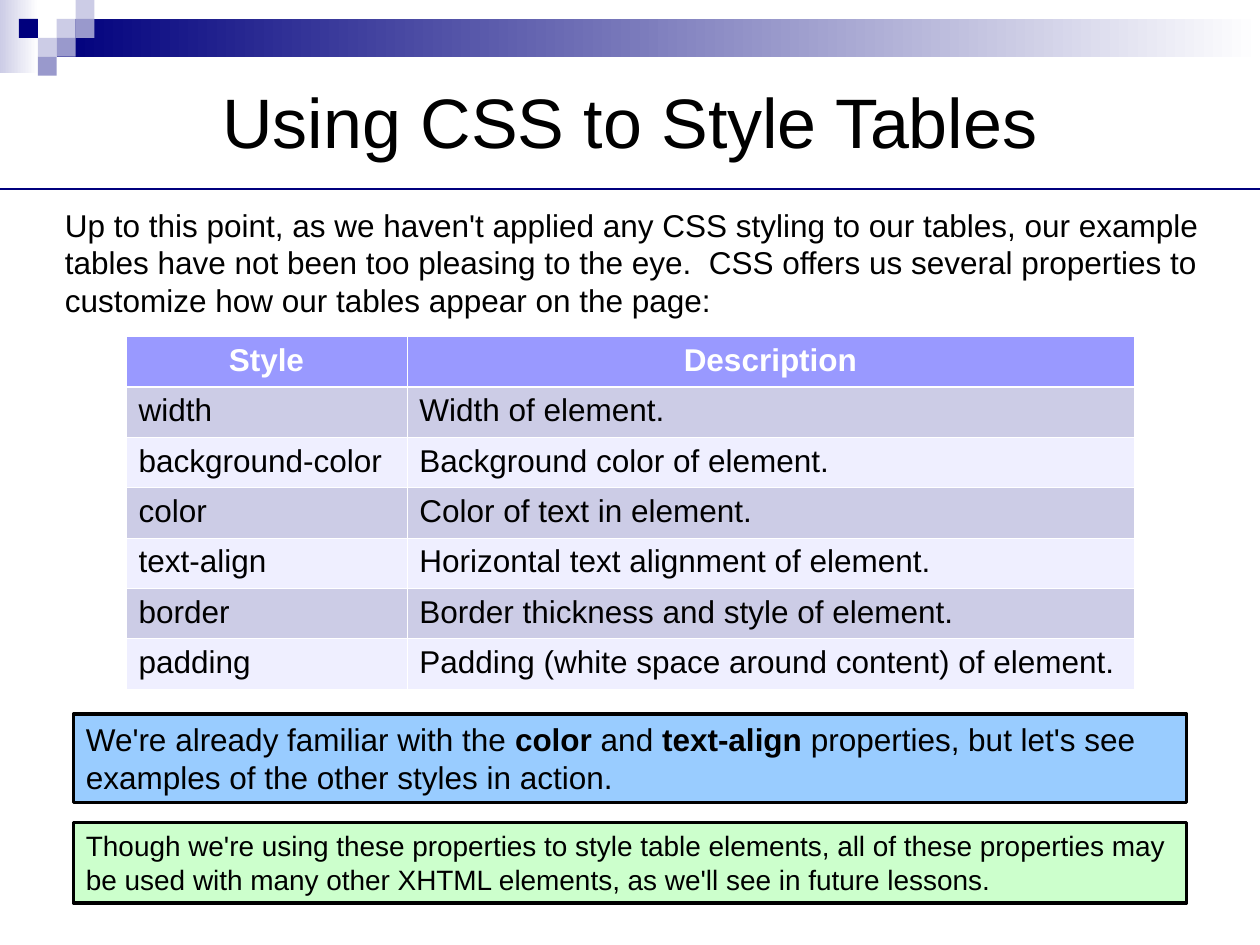
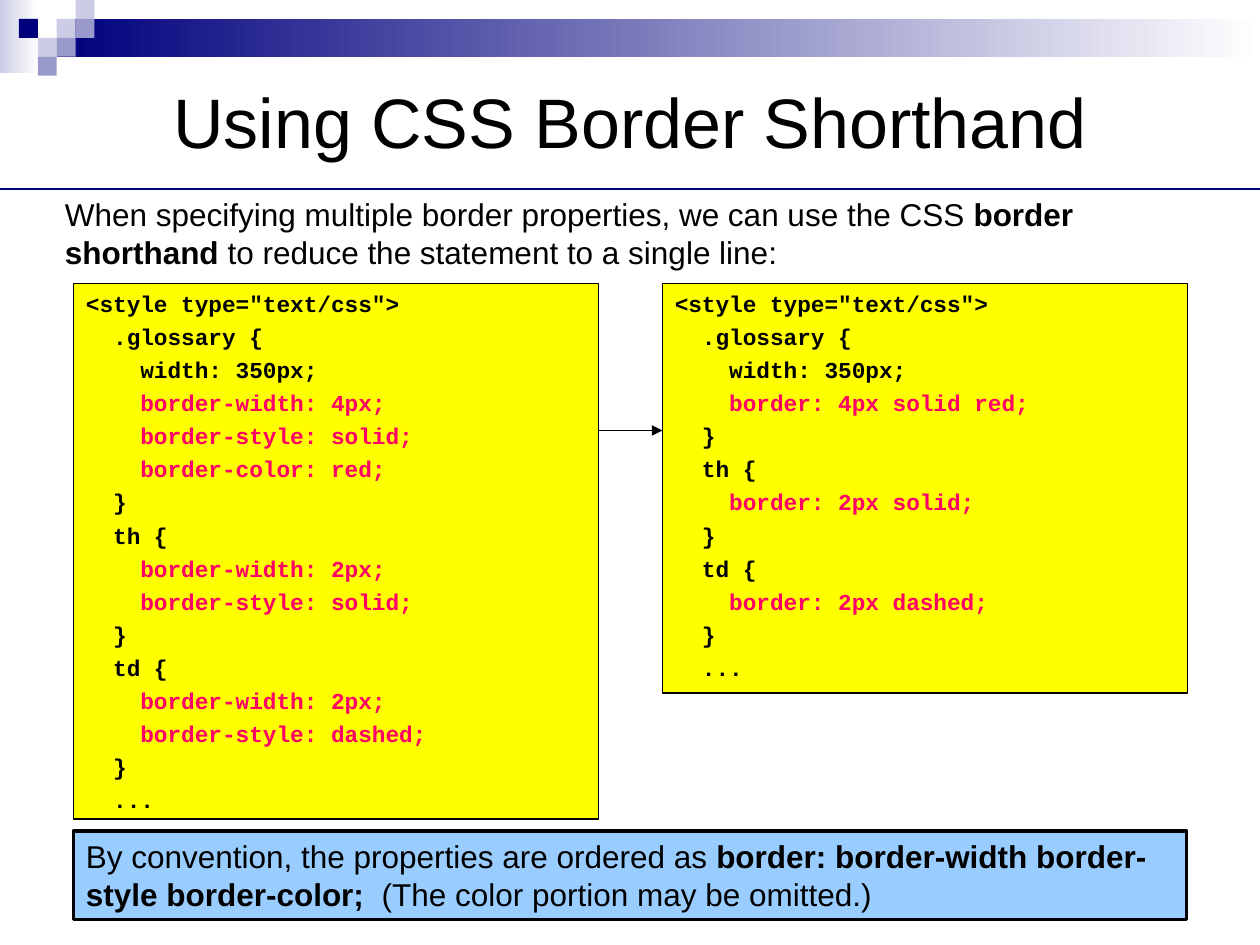
from lxml import etree
from pptx import Presentation
from pptx.dml.color import RGBColor
from pptx.enum import shapes, text
from pptx.oxml import ns
from pptx.util import Pt

rgb = RGBColor.from_string
NAVY, LAVENDER, VIOLET = "00007D", "CCCCE6", "9999CC"
BLACK, WHITE, PINK = "000000", "FFFFFF", "FF0066"
SKY, MINT, YELLOW = "99CCFF", "CCFFCC", "FFFF00"
HEADER, PALE = "9999FF", "EFEFFF"
BODY_FONT, CODE_FONT = "Arial", "Courier New"
SLIDE_W, SLIDE_H = 720, 540
LEFT, BOX_W, CODE_W = 42, 636, 300
CODE_TOP, CODE_RIGHT = 162, 378.5

prs = Presentation()
prs.slide_width, prs.slide_height = Pt(SLIDE_W), Pt(SLIDE_H)


def add_box(s, box, fill=None, line=0, content="", size=18, font=BODY_FONT, color=BLACK,
            align=text.PP_ALIGN.LEFT, anchor=text.MSO_ANCHOR.TOP, gap=0):
    """Draw a rectangle; a pair of fills is a gradient, **text** is bold."""
    sp = s.shapes.add_shape(shapes.MSO_SHAPE.RECTANGLE, *map(Pt, box))
    sp.shadow.inherit = False
    if fill is None:
        sp.fill.background()
    elif isinstance(fill, tuple):
        sp.fill.gradient()
        sp.fill.gradient_angle = 0
        for stop, stop_color in zip(sp.fill.gradient_stops, fill):
            stop.color.rgb = rgb(stop_color)
    else:
        sp.fill.solid()
        sp.fill.fore_color.rgb = rgb(fill)
    if line:
        sp.line.color.rgb = rgb(BLACK)
        sp.line.width = Pt(line)
    else:
        sp.line.fill.background()
    if not content:
        return
    tf = sp.text_frame
    tf.word_wrap = True
    tf.vertical_anchor = anchor
    for i, row in enumerate(content.split("\n")):
        p = tf.add_paragraph() if i else tf.paragraphs[0]
        p.alignment = align
        if i:
            p.space_before = Pt(gap)
        for j, part in enumerate(row.split("**")):
            if part:
                r = p.add_run()
                r.text = part
                r.font.name, r.font.size = font, Pt(size)
                r.font.bold = font == CODE_FONT or j % 2 == 1
                highlighted = font == CODE_FONT and part.startswith("    border")
                r.font.color.rgb = rgb(PINK if highlighted else color)


def add_line(s, x1, y1, x2, y2, color, width):
    c = s.shapes.add_connector(shapes.MSO_CONNECTOR.STRAIGHT, *map(Pt, (x1, y1, x2, y2)))
    c.line.color.rgb = rgb(color)
    c.line.width = Pt(width)
    etree.SubElement(c._element.spPr, ns.qn("a:effectLst"))
    return c


# Shared header: gradient bar, mosaic of squares, title and rule
SQUARE = 10.8
MOSAIC = [(3, 1, LAVENDER), (4, 0, LAVENDER), (4, 1, VIOLET), (2, 2, LAVENDER),
          (1, 1, NAVY), (3, 2, VIOLET), (2, 3, VIOLET)]
slides = []
for title in ("Using CSS to Style Tables", "Using CSS Border Shorthand"):
    s = prs.slides.add_slide(prs.slide_layouts[6])
    add_box(s, (0, 0, 22, 42), (LAVENDER, WHITE))
    add_box(s, (3 * SQUARE, SQUARE, SLIDE_W - 3 * SQUARE, 2 * SQUARE), (NAVY, WHITE))
    for col, row, color in MOSAIC:
        add_box(s, (col * SQUARE, row * SQUARE, SQUARE, SQUARE), color)
    add_line(s, 0, 108, SLIDE_W, 108, NAVY, 1.25)
    add_box(s, (36, 30, 648, 78), content=title, size=40,
            align=text.PP_ALIGN.CENTER, anchor=text.MSO_ANCHOR.MIDDLE)
    slides.append(s)
table_slide, shorthand_slide = slides

# Slide 1: table of style properties
add_box(table_slide, (30, 114, 666, 72), content=(
    "Up to this point, as we haven't applied any CSS styling to our tables, our example "
    "tables have not been too pleasing to the eye.  CSS offers us several properties to "
    "customize how our tables appear on the page:"))
PROPERTIES = [
    ("Style", "Description"),
    ("width", "Width of element."),
    ("background-color", "Background color of element."),
    ("color", "Color of text in element."),
    ("text-align", "Horizontal text alignment of element."),
    ("border", "Border thickness and style of element."),
    ("padding", "Padding (white space around content) of element."),
]
ROW_H = 28.8
table = table_slide.shapes.add_table(len(PROPERTIES), 2, Pt(72), Pt(192.25), Pt(576),
                                     Pt(ROW_H * len(PROPERTIES))).table
for col, width in zip(table.columns, (160.5, 415.5)):
    col.width = Pt(width)
for i, row in enumerate(PROPERTIES):
    table.rows[i].height = Pt(ROW_H)
    for j, value in enumerate(row):
        cell = table.cell(i, j)
        tcPr = cell._tc.get_or_add_tcPr()
        for side in "LRTB":
            thick = (i, side) in ((0, "B"), (1, "T"))
            ln = etree.SubElement(tcPr, ns.qn(f"a:ln{side}"), w=str(Pt(1.5 if thick else 0.45)))
            solid = etree.SubElement(ln, ns.qn("a:solidFill"))
            etree.SubElement(solid, ns.qn("a:srgbClr"), val=WHITE)
        cell.fill.solid()
        cell.fill.fore_color.rgb = rgb(HEADER if i == 0 else LAVENDER if i % 2 else PALE)
        cell.text_frame.text = value
        p = cell.text_frame.paragraphs[0]
        p.alignment = text.PP_ALIGN.LEFT if i else text.PP_ALIGN.CENTER
        font = p.runs[0].font
        font.name, font.size, font.bold = BODY_FONT, Pt(18), i == 0
        font.color.rgb = rgb(BLACK if i else WHITE)

add_box(table_slide, (LEFT, 408, BOX_W, 50.5), SKY, 2,
        "We're already familiar with the **color** and **text-align** properties, "
        "but let's see examples of the other styles in action.")
add_box(table_slide, (LEFT, 470, BOX_W, 46), MINT, 2,
        "Though we're using these properties to style table elements, all of these properties "
        "may be used with many other XHTML elements, as we'll see in future lessons.", size=16)

# Slide 2: long and short border code
add_box(shorthand_slide, (30, 108, 666, 50.5), content=(
    "When specifying multiple border properties, we can use the CSS **border shorthand** "
    "to reduce the statement to a single line:"))
LONG_CODE = """<style type="text/css">
  .glossary {
    width: 350px;
    border-width: 4px;
    border-style: solid;
    border-color: red;
  }
  th {
    border-width: 2px;
    border-style: solid;
  }
  td {
    border-width: 2px;
    border-style: dashed;
  }
  ..."""
SHORT_CODE = """<style type="text/css">
  .glossary {
    width: 350px;
    border: 4px solid red;
  }
  th {
    border: 2px solid;
  }
  td {
    border: 2px dashed;
  }
  ..."""
for x, height, code in ((CODE_RIGHT, 234, SHORT_CODE), (LEFT, 306, LONG_CODE)):
    add_box(shorthand_slide, (x, CODE_TOP, CODE_W, height), YELLOW, 0.75, code,
            size=13, font=CODE_FONT, gap=3.3)
arrow = add_line(shorthand_slide, LEFT + CODE_W, 246, CODE_RIGHT, 246, BLACK, 0.75)
etree.SubElement(arrow.line._get_or_add_ln(), ns.qn("a:tailEnd"), type="triangle")
add_box(shorthand_slide, (LEFT, 475, BOX_W, 50.5), SKY, 2,
        "By convention, the properties are ordered as **border: border-width border-style "
        "border-color;  **(The color portion may be omitted.)")

prs.save("out.pptx")
